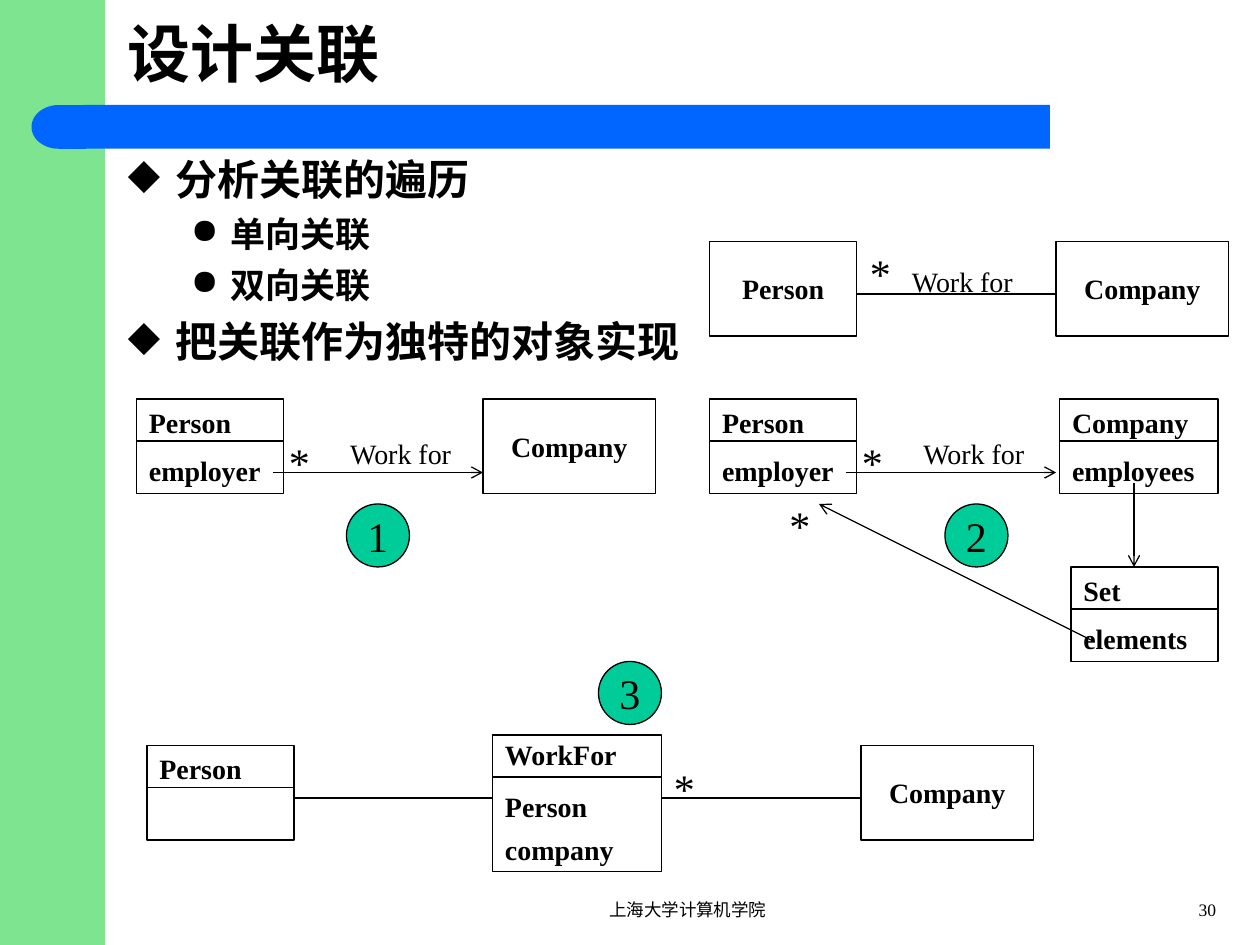
from lxml import etree
from pptx import Presentation, util as u
from pptx.dml import color
from pptx.enum import shapes, text
from pptx.oxml import ns

BLACK, GREEN, BLUE, TEAL = "000000", "7EE48F", "0066FF", "00CC99"
FONT = "Times New Roman"
BOX_WIDTH, BOX_HEIGHT, COMPANY_WIDTH = 84, 54, 98.5
HEADER_HEIGHT, ATTRIBUTE_STEP = 24, 24.5
LABEL_HEIGHT = 26.5


def rgb(value):
    return color.RGBColor.from_string(value)


def set_format(target, values):
    for name, value in values.items():
        setattr(target, name, value)


def bounds(left, top, width, height):
    return [u.Pt(value) for value in (left, top, width, height)]


def style_font(paragraph, size, bold=False):
    set_format(paragraph.font, {"name": FONT, "size": u.Pt(size), "bold": bold})
    paragraph.font.color.rgb = rgb(BLACK)


def add_label(slide, content, box, size=16, bold=False,
              align=text.PP_ALIGN.LEFT, anchor=text.MSO_ANCHOR.TOP):
    shape = slide.shapes.add_textbox(*bounds(*box))
    set_format(shape.text_frame, {"word_wrap": True, "vertical_anchor": anchor})
    paragraph = shape.text_frame.paragraphs[0]
    set_format(paragraph, {"text": content, "alignment": align})
    style_font(paragraph, size, bold)


def add_shape(slide, kind, box, fill=None, outlined=True):
    shape = slide.shapes.add_shape(kind, *bounds(*box))
    shape.shadow.inherit = False
    if fill:
        shape.fill.solid()
        shape.fill.fore_color.rgb = rgb(fill)
    else:
        shape.fill.background()
    if outlined:
        shape.line.color.rgb = rgb(BLACK)
        shape.line.width = u.Pt(0.75)
    else:
        shape.line.fill.background()
    return shape


def write_centred(shape, content, size, bold):
    set_format(shape.text_frame, {"word_wrap": False,
                                  "vertical_anchor": text.MSO_ANCHOR.MIDDLE})
    paragraph = shape.text_frame.paragraphs[0]
    set_format(paragraph, {"text": content, "alignment": text.PP_ALIGN.CENTER})
    style_font(paragraph, size, bold)


def add_plain_class(slide, name, left, top, width=COMPANY_WIDTH):
    shape = add_shape(slide, shapes.MSO_SHAPE.RECTANGLE, (left, top, width, BOX_HEIGHT))
    write_centred(shape, name, 16, True)


def add_number(slide, number, left, top):
    shape = add_shape(slide, shapes.MSO_SHAPE.OVAL, (left, top, 36, 36), TEAL)
    write_centred(shape, number, 24, False)


def add_line(slide, start, end, arrow=False):
    connector = slide.shapes.add_connector(
        shapes.MSO_CONNECTOR.STRAIGHT, *[u.Pt(value) for value in (*start, *end)])
    connector.line.color.rgb = rgb(BLACK)
    connector.line.width = u.Pt(0.75)
    if arrow:
        etree.SubElement(connector.line._get_or_add_ln(), ns.qn("a:tailEnd"), type="arrow")
    etree.SubElement(connector._element.spPr, ns.qn("a:effectLst"))


def add_class(slide, name, attributes, left, top,
              width=BOX_WIDTH, height=BOX_HEIGHT, name_shift=0):
    add_shape(slide, shapes.MSO_SHAPE.RECTANGLE, (left, top, width, height))
    divider = top + HEADER_HEIGHT
    add_line(slide, (left, divider), (left + width, divider))
    add_label(slide, name, (left, top + name_shift, width, LABEL_HEIGHT), bold=True)
    for index, attribute in enumerate(attributes):
        attribute_top = top + 27.5 + index * ATTRIBUTE_STEP
        add_label(slide, attribute, (left, attribute_top, width, LABEL_HEIGHT), bold=True)


def add_star(slide, left, top):
    add_label(slide, "*", (left, top, 28, 36), size=24)


def add_association_name(slide, left, top):
    add_label(slide, "Work for", (left, top, 89.5, LABEL_HEIGHT))


def add_outline(slide, items, box):
    levels = [
        {"bullet": "◆", "margin": 27, "indent": -27, "size": 24, "before": 6},
        {"bullet": "●", "margin": 58.5, "indent": -22.5, "size": 20, "before": 5},
    ]
    frame = slide.shapes.add_textbox(*bounds(*box)).text_frame
    frame.word_wrap = True
    for index, (level, content) in enumerate(items):
        style = levels[level]
        paragraph = frame.add_paragraph() if index else frame.paragraphs[0]
        set_format(paragraph, {"text": content, "level": level})
        if index:
            paragraph.space_before = u.Pt(style["before"])
        properties = paragraph._p.get_or_add_pPr()
        properties.set("marL", str(u.Pt(style["margin"])))
        properties.set("indent", str(u.Pt(style["indent"])))
        bullet_color = etree.SubElement(properties, ns.qn("a:buClr"))
        etree.SubElement(bullet_color, ns.qn("a:srgbClr"), val=BLACK)
        etree.SubElement(properties, ns.qn("a:buChar"), char=style["bullet"])
        style_font(paragraph, style["size"], True)


def add_frame(slide):
    rectangle = shapes.MSO_SHAPE.RECTANGLE
    add_shape(slide, rectangle, (0, 0, 60, 540), GREEN, False)
    add_shape(slide, rectangle, (48, 60, 552, 25), BLUE, False)
    cap = add_shape(slide, shapes.MSO_SHAPE.FLOWCHART_DELAY, (18, 60, 31, 25), BLUE, False)
    cap.rotation = 180
    add_label(slide, "设计关联", (66, 0, 624, 60), 36, True, anchor=text.MSO_ANCHOR.MIDDLE)
    add_label(slide, "上海大学计算机学院", (270, 510, 246, 18), 10, align=text.PP_ALIGN.CENTER)
    add_label(slide, "30", (648, 510, 54, 18), 10, align=text.PP_ALIGN.RIGHT)


def add_analysis_model(slide):
    add_association_name(slide, 514, 147.5)
    add_line(slide, (490, 168), (603.5, 168))
    add_plain_class(slide, "Person", 405.5, 138, BOX_WIDTH)
    add_plain_class(slide, "Company", 603.5, 138)
    add_star(slide, 490, 138)


def add_employer_reference(slide, left):
    add_association_name(slide, left + 115, 246)
    add_line(slide, (left + 78, 270), (left + 198, 270), True)
    add_star(slide, left + 80, 246)
    add_class(slide, "Person", ["employer"], left, 228)


def add_one_way_design(slide):
    add_employer_reference(slide, 78)
    add_plain_class(slide, "Company", 276, 228)
    add_number(slide, "1", 198, 288)


def add_two_way_design(slide):
    add_employer_reference(slide, 405.5)
    add_class(slide, "Company", ["employees"], 605.5, 228, 90.5)
    add_class(slide, "Set", ["elements"], 612, 324)
    add_line(slide, (624, 366), (468, 288), True)
    add_star(slide, 444, 282)
    add_line(slide, (648, 276), (648, 324), True)
    add_number(slide, "2", 540, 288)


def add_object_design(slide):
    add_line(slide, (168, 456), (281.5, 456))
    add_class(slide, "Person", [], 84, 426)
    add_number(slide, "3", 342, 378)
    add_plain_class(slide, "Company", 492, 426)
    add_line(slide, (378, 456), (492, 456))
    add_class(slide, "WorkFor", ["Person", "company"], 281.5, 420, 96.5, 78, -2)
    add_star(slide, 378, 432)


def main():
    presentation = Presentation()
    set_format(presentation, {"slide_width": u.Pt(720), "slide_height": u.Pt(540)})
    slide = presentation.slides.add_slide(presentation.slide_layouts[6])
    add_frame(slide)
    add_outline(slide, [(0, "分析关联的遍历"), (1, "单向关联"), (1, "双向关联"),
                        (0, "把关联作为独特的对象实现")], (66, 84, 642, 144))
    add_analysis_model(slide)
    add_one_way_design(slide)
    add_two_way_design(slide)
    add_object_design(slide)
    presentation.save("out.pptx")


if __name__ == "__main__":
    main()
